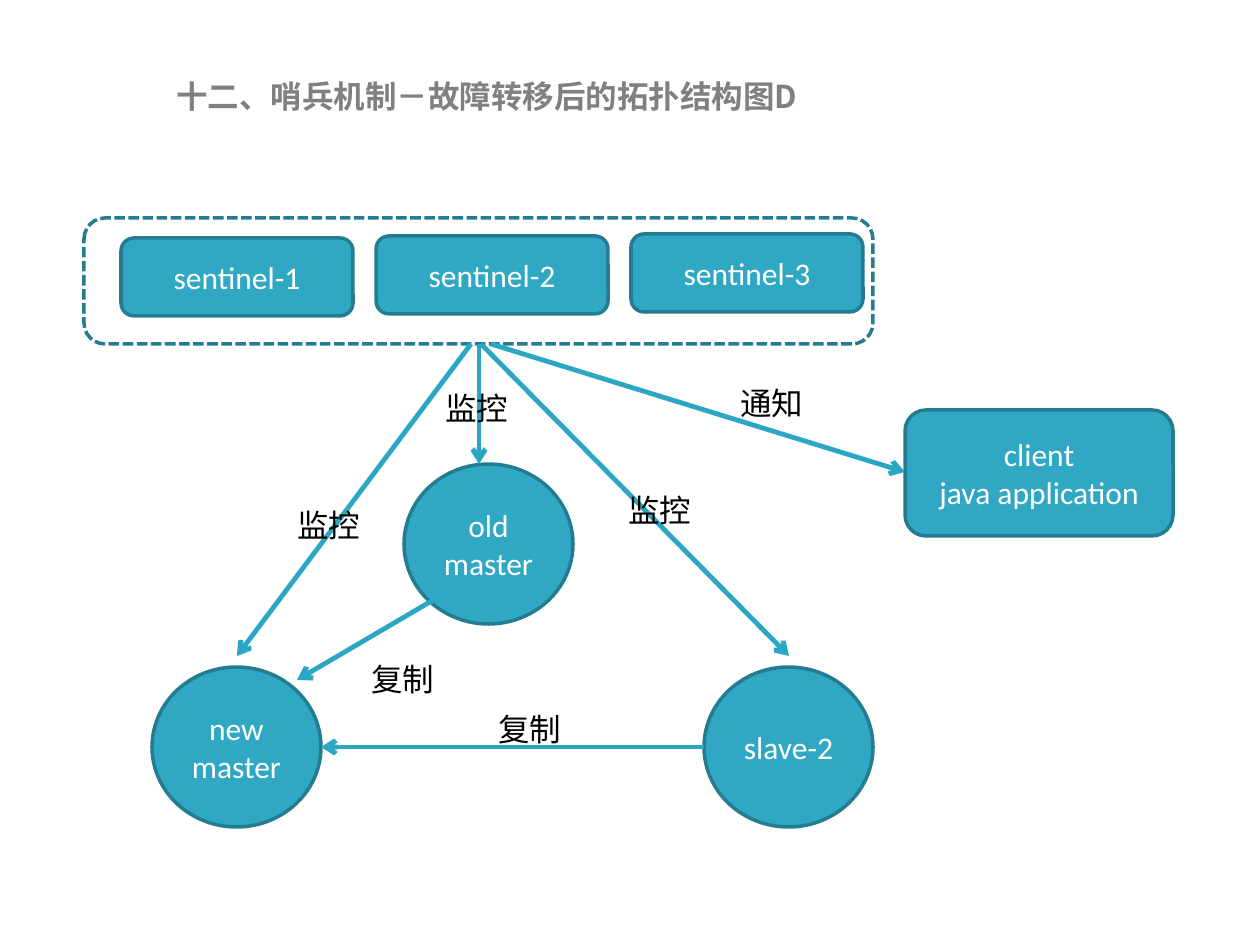
"""Builds the slide on the sentinel topology after a failover."""
from lxml.etree import SubElement
from pptx import Presentation
from pptx.dml.color import RGBColor
from pptx.enum.dml import MSO_LINE
from pptx.enum.shapes import MSO_CONNECTOR, MSO_SHAPE
from pptx.enum.text import MSO_ANCHOR, PP_ALIGN
from pptx.oxml.ns import qn
from pptx.util import Emu, Pt

PX_PER_INCH = 126
TEAL = RGBColor(0x30, 0xA8, 0xC4)
DARK_TEAL = RGBColor(0x24, 0x7C, 0x91)
ARROW_TEAL = RGBColor(0x2B, 0xA7, 0xC3)
GRAY = RGBColor(0x80, 0x80, 0x80)
BLACK = RGBColor(0, 0, 0)
WHITE = RGBColor(0xFF, 0xFF, 0xFF)


def emu(*lengths):
    return [Emu(round(px * 914400 / PX_PER_INCH)) for px in lengths]


def write(frame, text, color=BLACK, font="Calibri", east_asian=None, bold=False,
          align=PP_ALIGN.LEFT, anchor=MSO_ANCHOR.TOP, wrap=True):
    frame.word_wrap = wrap
    frame.vertical_anchor = anchor
    for index, line in enumerate(text.split("\n")):
        paragraph = frame.add_paragraph() if index else frame.paragraphs[0]
        paragraph.alignment = align
        run = paragraph.add_run()
        run.text = line
        run.font.name = font
        run.font.size = Pt(18)
        run.font.bold = bold
        run.font.color.rgb = color
        if east_asian:
            SubElement(run.font._element, qn("a:ea"), typeface=east_asian)


class Diagram:
    def __init__(self, slide):
        self.shapes = slide.shapes
        self.outline = Pt(2)
        self.arrow_width = Pt(2.75)

    def node(self, kind, box, text):
        shape = self.shapes.add_shape(kind, *emu(*box))
        shape.shadow.inherit = False
        shape.fill.solid()
        shape.fill.fore_color.rgb = TEAL
        shape.line.color.rgb = DARK_TEAL
        shape.line.width = self.outline
        write(shape.text_frame, text, color=WHITE, align=PP_ALIGN.CENTER,
              anchor=MSO_ANCHOR.MIDDLE)

    def group_frame(self, box):
        shape = self.shapes.add_shape(MSO_SHAPE.ROUNDED_RECTANGLE, *emu(*box))
        shape.shadow.inherit = False
        shape.fill.background()
        shape.line.color.rgb = DARK_TEAL
        shape.line.width = self.outline
        shape.line.dash_style = MSO_LINE.SQUARE_DOT

    def arrow(self, start, end):
        connector = self.shapes.add_connector(MSO_CONNECTOR.STRAIGHT, *emu(*start, *end))
        connector.line.color.rgb = ARROW_TEAL
        connector.line.width = self.arrow_width
        SubElement(connector.line._get_or_add_ln(), qn("a:tailEnd"), type="arrow")
        SubElement(connector._element.spPr, qn("a:effectLst"))

    def text(self, box, text, **style):
        write(self.shapes.add_textbox(*emu(*box)).text_frame, text, **style)


def main():
    presentation = Presentation()
    presentation.slide_width, presentation.slide_height = emu(1260, 945)
    diagram = Diagram(presentation.slides.add_slide(presentation.slide_layouts[6]))

    diagram.text((164, 71, 649, 50), "十二、哨兵机制－故障转移后的拓扑结构图D", color=GRAY,
                 font="Noto Sans CJK SC", east_asian="Noto Sans CJK SC", bold=True)

    diagram.group_frame((84, 218, 789, 126))
    for index in range(3):
        diagram.node(MSO_SHAPE.ROUNDED_RECTANGLE,
                     (121 + 255 * index, 238 - 2 * index, 232, 78),
                     f"sentinel-{index + 1}")
    for left, top, server in ((404, 464, "old\nmaster"),
                              (152, 667, "new master"),
                              (704, 667, "slave-2")):
        diagram.node(MSO_SHAPE.OVAL, (left, top, 169, 160), server)
    diagram.node(MSO_SHAPE.ROUNDED_RECTANGLE, (905, 410, 268, 126),
                 "client\njava application")

    for start, end in (((479, 344), (479, 464)),
                       ((471, 344), (237, 656)),
                       ((481, 344), (789, 656)),
                       ((447, 592), (297, 680)),
                       ((704, 747), (321, 747)),
                       ((491, 344), (905, 472))):
        diagram.arrow(start, end)

    for left, top, action in ((433, 383, "监控"), (616, 485, "监控"), (285, 500, "监控"),
                              (359, 654, "复制"), (486, 704, "复制"), (728, 378, "通知")):
        diagram.text((left, top, 88, 50), action, wrap=False)

    presentation.save("out.pptx")


if __name__ == "__main__":
    main()
